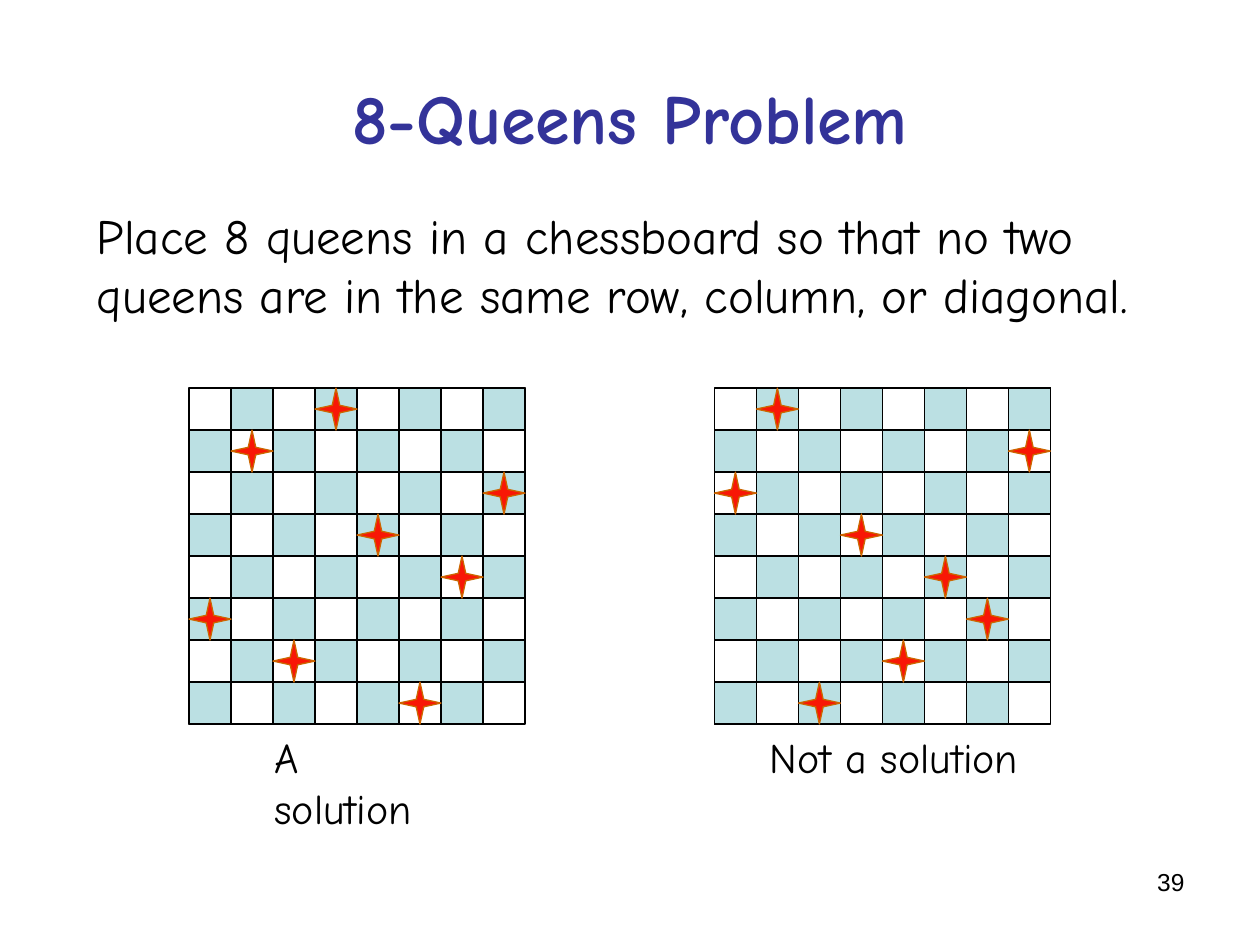
from dataclasses import dataclass

from pptx import Presentation
from pptx.dml.color import RGBColor
from pptx.enum.shapes import MSO_SHAPE
from pptx.enum.text import MSO_ANCHOR, MSO_AUTO_SIZE, PP_ALIGN
from pptx.util import Inches, Pt


@dataclass(frozen=True)
class Theme:
    heading: str = "333399"
    ink: str = "000000"
    dark_square: str = "BBE0E3"
    queen_fill: str = "F81706"
    queen_line: str = "CC6600"
    font: str = "Comic Neue"
    number_font: str = "Arial"
    title_size: int = 40
    body_size: int = 28
    caption_size: int = 24
    number_size: int = 14
    line_width: float = 0.75


SIZE = 8
CELL = 1 / 3
BOARD_TOP = 3.08
CAPTION_TOP = 5.76

# Each board: left, queen column for each row, caption, caption left and width
BOARDS = [
    (1.5, [3, 1, 7, 4, 6, 0, 2, 5], "A solution", 2.08, 1.59),
    (5.67, [1, 7, 0, 3, 5, 6, 4, 2], "Not a solution", 6.01, 2.17),
]


class SlideBuilder:
    def __init__(self, page, theme):
        self.page = page
        self.theme = theme

    def text(self, words, left, top, width, height, size, color=None, font=None,
             bold=False, align=PP_ALIGN.LEFT, anchor=MSO_ANCHOR.TOP, wrap=True,
             grow=False):
        box = self.page.shapes.add_textbox(
            Inches(left), Inches(top), Inches(width), Inches(height))
        frame = box.text_frame
        frame.text = words
        frame.word_wrap = wrap
        frame.vertical_anchor = anchor
        frame.auto_size = (MSO_AUTO_SIZE.SHAPE_TO_FIT_TEXT if grow
                           else MSO_AUTO_SIZE.NONE)
        para = frame.paragraphs[0]
        para.alignment = align
        span = para.runs[0]
        span.font.name = font or self.theme.font
        span.font.size = Pt(size)
        span.font.bold = bold
        span.font.color.rgb = RGBColor.from_string(color or self.theme.ink)

    def paint(self, shape, fill, line):
        shape.shadow.inherit = False
        if fill:
            shape.fill.solid()
            shape.fill.fore_color.rgb = RGBColor.from_string(fill)
        else:
            shape.fill.background()
        shape.line.color.rgb = RGBColor.from_string(line)
        shape.line.width = Pt(self.theme.line_width)

    def square(self, group, left, top, side, fill=None):
        shape = group.shapes.add_shape(
            MSO_SHAPE.RECTANGLE, Inches(left), Inches(top), Inches(side), Inches(side))
        self.paint(shape, fill, self.theme.ink)

    def queen(self, group, left, top):
        half, notch = CELL / 2, 0.03
        offsets = [(-half, 0), (-notch, -notch), (0, -half), (notch, -notch),
                   (half, 0), (notch, notch), (0, half), (-notch, notch)]
        points = [(Inches(left + half + x), Inches(top + half + y)) for x, y in offsets]
        outline = group.shapes.build_freeform(*points[0])
        outline.add_line_segments(points[1:], close=True)
        self.paint(outline.convert_to_shape(), self.theme.queen_fill,
                   self.theme.queen_line)

    def board(self, left, top, queen_columns):
        group = self.page.shapes.add_group_shape()
        self.square(group, left, top, SIZE * CELL)
        for row in range(SIZE):
            for column in range((row + 1) % 2, SIZE, 2):
                self.square(group, left + column * CELL, top + row * CELL, CELL,
                            self.theme.dark_square)
        for row, column in enumerate(queen_columns):
            self.queen(group, left + column * CELL, top + row * CELL)


def main():
    deck = Presentation()
    deck.slide_width, deck.slide_height = Inches(10), Inches(7.5)
    page = deck.slides.add_slide(deck.slide_layouts[6])
    theme = Theme()
    builder = SlideBuilder(page, theme)

    # Title and problem statement
    builder.text("8-Queens Problem", 0.5, 0.3, 9, 1.25, theme.title_size,
                 color=theme.heading, bold=True, align=PP_ALIGN.CENTER,
                 anchor=MSO_ANCHOR.MIDDLE)
    builder.text("Place 8 queens in a chessboard so that no two queens are in the "
                 "same row, column, or diagonal.",
                 0.67, 1.58, 9.08, 1.04, theme.body_size, grow=True)

    # Boards with captions
    for left, queen_columns, caption, caption_left, caption_width in BOARDS:
        builder.board(left, BOARD_TOP, queen_columns)
        builder.text(caption, caption_left, CAPTION_TOP, caption_width, 0.5,
                     theme.caption_size, wrap=False, grow=True)

    # Page number
    builder.text("39", 7.17, 6.83, 2.33, 0.52, theme.number_size,
                 font=theme.number_font, align=PP_ALIGN.RIGHT)

    deck.save("out.pptx")


if __name__ == "__main__":
    main()
